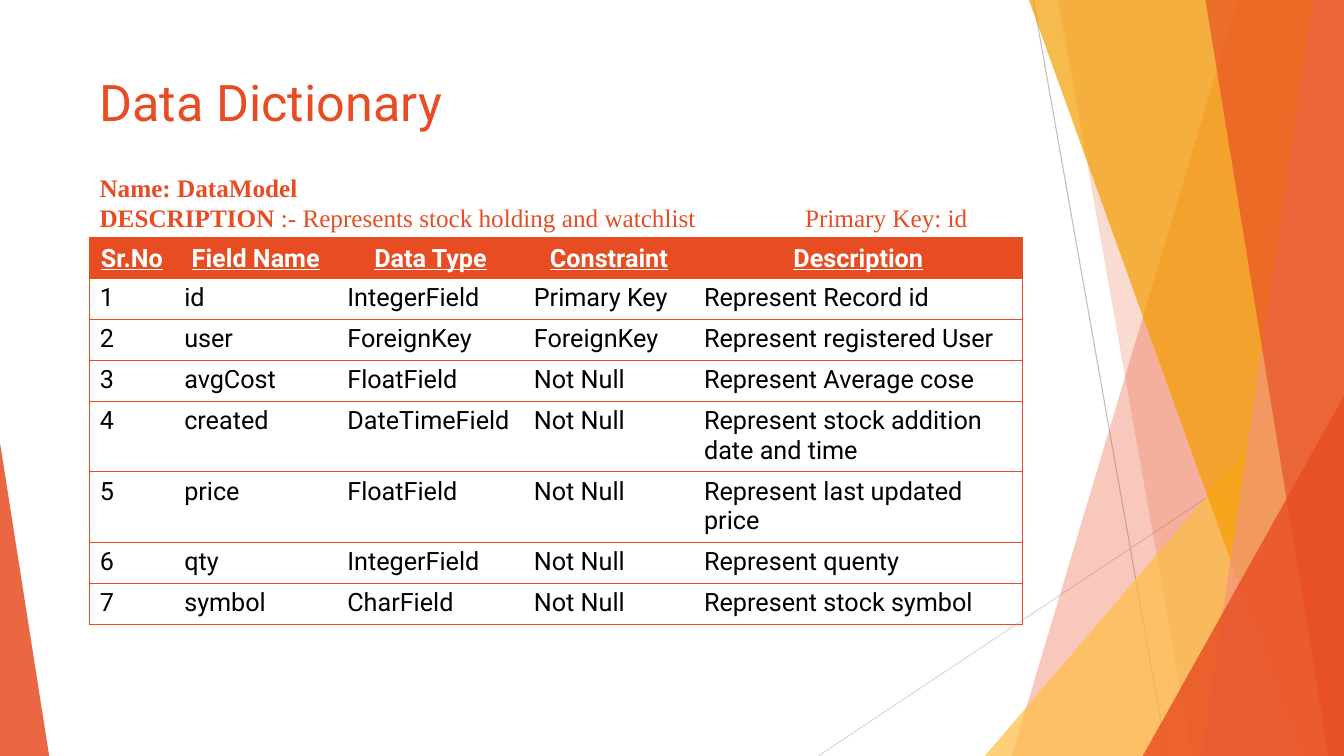
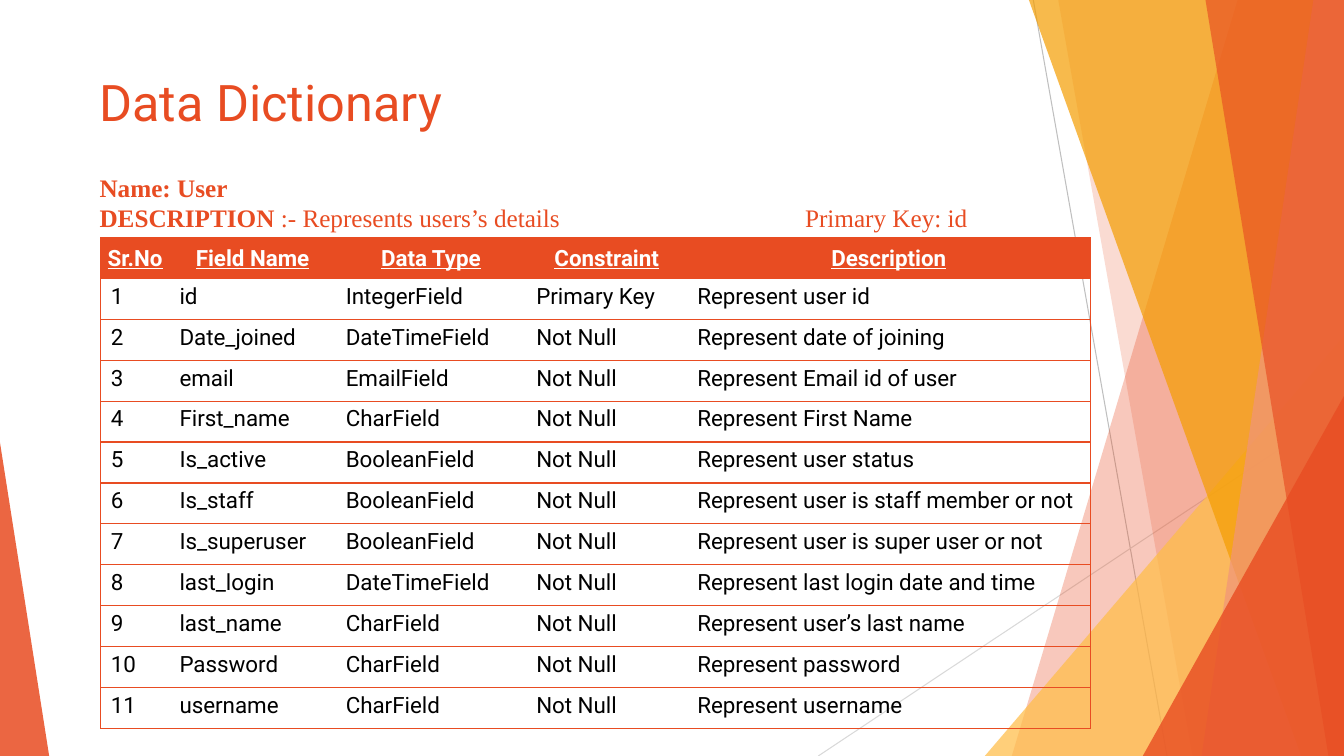
import pptx
import pptx.dml.color
import pptx.enum.shapes
import pptx.enum.text
import pptx.oxml.ns
import pptx.util
from lxml import etree

Cm = pptx.util.Cm
Pt = pptx.util.Pt
qn = pptx.oxml.ns.qn

COLOURS = {
    "accent": "E84C22", "salmon": "F1947A", "gold": "F49D00", "amber": "FFBD47",
    "grey": "BFBFBF", "pale grey": "D9D9D9", "white": "FFFFFF", "black": "000000",
}
SLIDE_WIDTH, SLIDE_HEIGHT = 33.87, 19.05

# Lines: colour, from, to
LINES = [
    ("grey", (26.04, 0), (29.41, SLIDE_HEIGHT)),
    ("pale grey", (SLIDE_WIDTH, 10.24), (20.62, SLIDE_HEIGHT)),
]
# A band fills from its slanted left edge (top x, bottom x) to the right of the slide.
# A triangle stands on the bottom of the slide: left, top, width, apex position.
DECORATIONS = [
    ("band", "accent", 30, (31.19, 25.5)),
    ("band", "accent", 20, (26.67, 30.05)),
    ("triangle", "amber", 72, (24.82, 8.46, 9.05, 1)),
    ("band", "gold", 70, (25.93, 32.79)),
    ("band", "salmon", 70, (33.1, 30.28)),
    ("band", "accent", 65, (30.38, 33.48)),
    ("triangle", "accent", 80, (28.8, 9.98, 5.07, 1)),
    ("triangle", "accent", 85, (0, 11.15, 1.24, 0)),
]

TITLE = "Data Dictionary"
PRIMARY_KEY = "Primary Key: id"
HEADERS = ["Sr.No", "Field Name", "Data Type", "Constraint", "Description"]
TABLE_TOP, ROW_HEIGHT = 5.99, 1.03
KEY_TAB = 17.78

MODELS = [
    {
        "name": "DataModel",
        "description": "Represents stock holding and watchlist",
        "left": 2.26, "size": 18, "widths": [2.13, 4.11, 4.7, 4.29, 8.28],
        "fields": [
            ("id", "IntegerField", "Primary Key", "Represent Record id"),
            ("user", "ForeignKey", "ForeignKey", "Represent registered User"),
            ("avgCost", "FloatField", "Not Null", "Represent Average cose"),
            ("created", "DateTimeField", "Not Null", "Represent stock addition date and time"),
            ("price", "FloatField", "Not Null", "Represent last updated price"),
            ("qty", "IntegerField", "Not Null", "Represent quenty"),
            ("symbol", "CharField", "Not Null", "Represent stock symbol"),
        ],
    },
    {
        "name": "User",
        "description": "Represents users’s details",
        "left": 2.54, "size": 16, "widths": [1.73, 4.19, 4.8, 4.06, 10.16],
        "fields": [
            ("id", "IntegerField", "Primary Key", "Represent user id"),
            ("Date_joined", "DateTimeField", "Not Null", "Represent date of joining"),
            ("email", "EmailField", "Not Null", "Represent Email id of user"),
            ("First_name", "CharField", "Not Null", "Represent First Name"),
            ("Is_active", "BooleanField", "Not Null", "Represent user status"),
            ("Is_staff", "BooleanField", "Not Null", "Represent user is staff member or not"),
            ("Is_superuser", "BooleanField", "Not Null", "Represent user is super user or not"),
            ("last_login", "DateTimeField", "Not Null", "Represent last login date and time"),
            ("last_name", "CharField", "Not Null", "Represent user’s last name"),
            ("Password", "CharField", "Not Null", "Represent password"),
            ("username", "CharField", "Not Null", "Represent username"),
        ],
    },
]

TITLE_FONT = {"name": "Roboto", "size": Pt(36)}
SUMMARY_FONT = {"name": "Times New Roman", "size": Pt(18)}
HEADER_FONT = {"name": "Roboto", "bold": True, "underline": True}
BODY_FONT = {"name": "Roboto", "bold": False, "underline": False}
HEADER_CELL = {
    "vertical_anchor": pptx.enum.text.MSO_ANCHOR.MIDDLE,
    "margin_left": Cm(0.03), "margin_right": Cm(0.03),
    "margin_top": Cm(0.03), "margin_bottom": 0,
}


def rgb(colour):
    return pptx.dml.color.RGBColor.from_string(COLOURS[colour])


def set_attributes(target, values):
    for name, value in values.items():
        setattr(target, name, value)


def add_run(paragraph, text, colour, **font):
    run = paragraph.add_run()
    run.text = text
    set_attributes(run.font, font)
    run.font.color.rgb = rgb(colour)


def add_line(slide, colour, start, end):
    points = [Cm(value) for value in (*start, *end)]
    line = slide.shapes.add_connector(pptx.enum.shapes.MSO_CONNECTOR.STRAIGHT, *points)
    line.line.color.rgb = rgb(colour)
    line.line.width = Pt(0.75)
    etree.SubElement(line._element.spPr, qn("a:effectLst"))


def add_band(slide, top_x, bottom_x):
    corners = [(SLIDE_WIDTH, 0), (SLIDE_WIDTH, SLIDE_HEIGHT), (bottom_x, SLIDE_HEIGHT)]
    builder = slide.shapes.build_freeform(Cm(top_x), 0)
    builder.add_line_segments([(Cm(x), Cm(y)) for x, y in corners], close=True)
    return builder.convert_to_shape()


def add_triangle(slide, left, top, width, apex):
    shape = slide.shapes.add_shape(
        pptx.enum.shapes.MSO_SHAPE.ISOSCELES_TRIANGLE,
        Cm(left), Cm(top), Cm(width), Cm(SLIDE_HEIGHT - top))
    shape.adjustments[0] = apex
    return shape


def add_background(slide):
    builders = {"band": add_band, "triangle": add_triangle}
    for line in LINES:
        add_line(slide, *line)
    for kind, colour, opacity, geometry in DECORATIONS:
        shape = builders[kind](slide, *geometry)
        shape.shadow.inherit = False
        shape.fill.solid()
        shape.fill.fore_color.rgb = rgb(colour)
        shape.line.fill.background()
        fill_colour = shape._element.spPr.find(qn("a:solidFill")).find(qn("a:srgbClr"))
        etree.SubElement(fill_colour, qn("a:alpha"), val=str(opacity * 1000))


def add_text_frame(slide, left, top, width, height):
    frame = slide.shapes.add_textbox(Cm(left), Cm(top), Cm(width), Cm(height)).text_frame
    frame.word_wrap = True
    return frame


def add_title(slide):
    frame = add_text_frame(slide, 2.26, 1.6, 23.88, 1.91)
    frame.vertical_anchor = pptx.enum.text.MSO_ANCHOR.MIDDLE
    add_run(frame.paragraphs[0], TITLE, "accent", **TITLE_FONT)


def add_summary(slide, model):
    frame = add_text_frame(slide, 2.26, 4.22, 22.61, 1.8)
    add_run(frame.paragraphs[0], f"Name: {model['name']}", "accent", bold=True, **SUMMARY_FONT)
    paragraph = frame.add_paragraph()
    add_run(paragraph, "DESCRIPTION", "accent", bold=True, **SUMMARY_FONT)
    add_run(paragraph, f" :- {model['description']}\t{PRIMARY_KEY}", "accent",
            bold=False, **SUMMARY_FONT)
    tabs = etree.SubElement(paragraph._p.get_or_add_pPr(), qn("a:tabLst"))
    etree.SubElement(tabs, qn("a:tab"), pos=str(int(Cm(KEY_TAB))), algn="l")


def set_borders(cell, visible):
    """Draw the named sides (L, R, T, B) in the accent colour and clear the others."""
    properties = cell._tc.get_or_add_tcPr()
    for side in "LRTB":
        border = etree.SubElement(properties, qn(f"a:ln{side}"), w=str(int(Pt(1))))
        if side in visible:
            fill = etree.SubElement(border, qn("a:solidFill"))
            etree.SubElement(fill, qn("a:srgbClr"), val=COLOURS["accent"])
        else:
            etree.SubElement(border, qn("a:noFill"))


def add_field_table(slide, model):
    rows = [HEADERS] + [(str(number), *field) for number, field in enumerate(model["fields"], 1)]
    widths = model["widths"]
    table = slide.shapes.add_table(
        len(rows), len(widths), Cm(model["left"]), Cm(TABLE_TOP),
        Cm(sum(widths)), Cm(ROW_HEIGHT * len(rows))).table
    table.horz_banding = False
    for column, width in zip(table.columns, widths):
        column.width = Cm(width)
    for row_index, texts in enumerate(rows):
        table.rows[row_index].height = Cm(ROW_HEIGHT)
        for column_index, text in enumerate(texts):
            cell = table.cell(row_index, column_index)
            sides = {0: "LTB", len(widths) - 1: "RTB"}.get(column_index, "TB")
            set_borders(cell, sides)
            paragraph = cell.text_frame.paragraphs[0]
            if row_index == 0:
                cell.fill.solid()
                cell.fill.fore_color.rgb = rgb("accent")
                set_attributes(cell, HEADER_CELL)
                paragraph.alignment = pptx.enum.text.PP_ALIGN.CENTER
                add_run(paragraph, text, "white", size=Pt(model["size"]), **HEADER_FONT)
            else:
                cell.fill.background()
                add_run(paragraph, text, "black", size=Pt(model["size"]), **BODY_FONT)


def main():
    presentation = pptx.Presentation()
    presentation.slide_width = Cm(SLIDE_WIDTH)
    presentation.slide_height = Cm(SLIDE_HEIGHT)
    for model in MODELS:
        slide = presentation.slides.add_slide(presentation.slide_layouts[6])
        add_background(slide)
        add_title(slide)
        add_field_table(slide, model)
        add_summary(slide, model)
    presentation.save("out.pptx")


if __name__ == "__main__":
    main()
